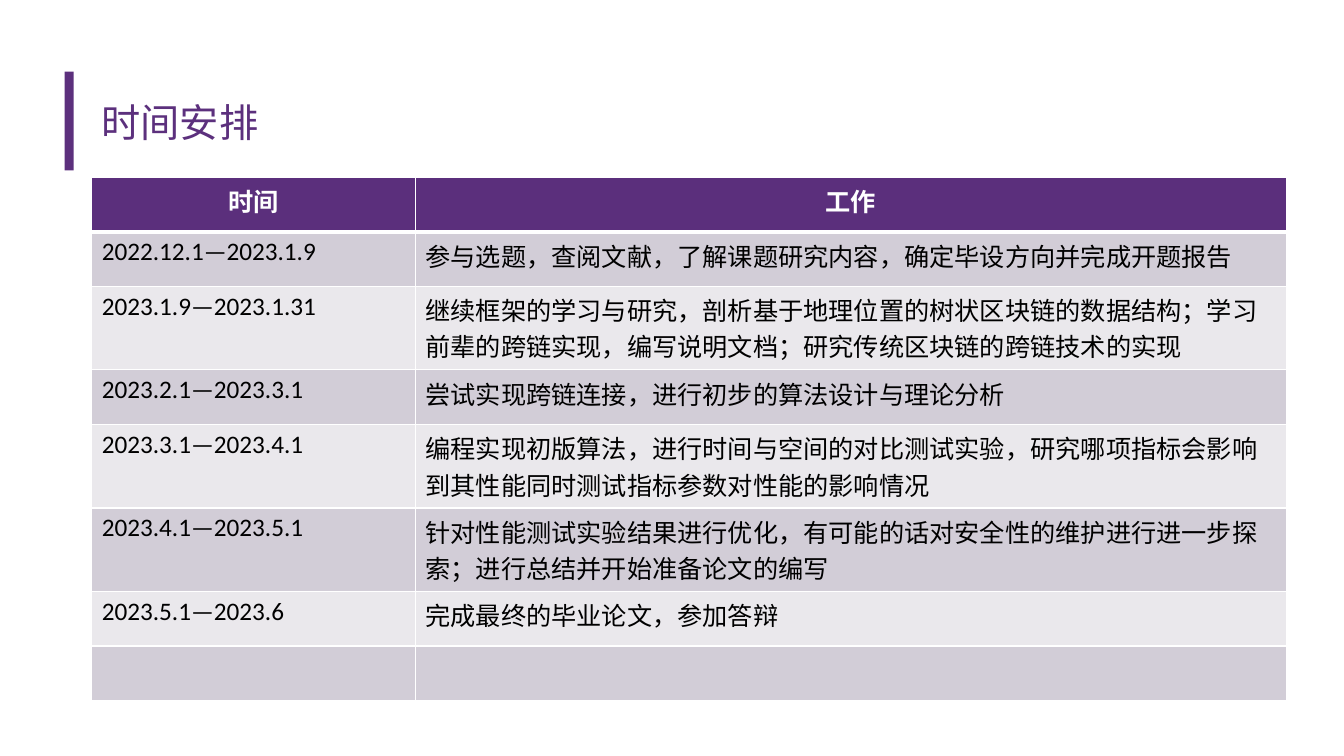
from dataclasses import dataclass

from lxml.etree import SubElement
from pptx import Presentation
from pptx.dml.color import RGBColor
from pptx.enum.shapes import MSO_SHAPE
from pptx.enum.text import MSO_ANCHOR, PP_ALIGN
from pptx.oxml.ns import qn
from pptx.slide import Slide
from pptx.table import _Cell
from pptx.text.text import _Paragraph
from pptx.util import Inches, Pt

PURPLE = RGBColor(0x5C, 0x30, 0x7D)
HEADER = RGBColor(0x5B, 0x2F, 0x7C)
BAND_DARK = RGBColor(0xD2, 0xCD, 0xD7)
BAND_LIGHT = RGBColor(0xEA, 0xE8, 0xEC)
WHITE = RGBColor(0xFF, 0xFF, 0xFF)
BLACK = RGBColor(0, 0, 0)
FONT = "Calibri"
COL_WIDTHS = (3.21, 8.64)
ONE_LINE = 0.54
TWO_LINES = 0.83


@dataclass
class Stage:
    """One row of the schedule, with its height in inches."""
    time: str = ""
    work: str = ""
    height: float = ONE_LINE


STAGES = [
    Stage("时间", "工作"),
    Stage("2022.12.1—2023.1.9", "参与选题，查阅文献，了解课题研究内容，确定毕设方向并完成开题报告"),
    Stage("2023.1.9—2023.1.31", "继续框架的学习与研究，剖析基于地理位置的树状区块链的数据结构；"
          "学习前辈的跨链实现，编写说明文档；研究传统区块链的跨链技术的实现", TWO_LINES),
    Stage("2023.2.1—2023.3.1", "尝试实现跨链连接，进行初步的算法设计与理论分析"),
    Stage("2023.3.1—2023.4.1", "编程实现初版算法，进行时间与空间的对比测试实验，"
          "研究哪项指标会影响到其性能同时测试指标参数对性能的影响情况", TWO_LINES),
    Stage("2023.4.1—2023.5.1", "针对性能测试实验结果进行优化，有可能的话对安全性的维护进行进一步探索；"
          "进行总结并开始准备论文的编写", TWO_LINES),
    Stage("2023.5.1—2023.6", "完成最终的毕业论文，参加答辩"),
    Stage(),
]


def add_run(p: _Paragraph, text: str, size: float, color: RGBColor, bold: bool = False) -> None:
    """Append a styled run to a paragraph."""
    r = p.add_run()
    r.text = text
    r.font.name = FONT
    r.font.size = Pt(size)
    r.font.bold = bold
    r.font.color.rgb = color


def set_borders(cell: _Cell, top: float, bottom: float) -> None:
    """Give a cell white borders, with widths in points."""
    tcPr = cell._tc.get_or_add_tcPr()
    for side, width in (("L", 1), ("R", 1), ("T", top), ("B", bottom)):
        ln = SubElement(tcPr, qn(f"a:ln{side}"), w=str(Pt(width)))
        fill = SubElement(ln, qn("a:solidFill"))
        SubElement(fill, qn("a:srgbClr"), val=str(WHITE))


def add_title(s: Slide, text: str) -> None:
    """Draw the accent bar and the slide title."""
    bar = s.shapes.add_shape(MSO_SHAPE.ROUNDED_RECTANGLE, Inches(0.64), Inches(0.71),
                             Inches(0.09), Inches(0.98))
    bar.adjustments[0] = 0
    bar.shadow.inherit = False
    bar.fill.solid()
    bar.fill.fore_color.rgb = PURPLE
    bar.line.fill.background()
    sp = s.shapes.add_textbox(Inches(0.91), Inches(0.65), Inches(11.51), Inches(1.11))
    tf = sp.text_frame
    tf.word_wrap = True
    tf.vertical_anchor = MSO_ANCHOR.MIDDLE
    add_run(tf.paragraphs[0], text, 28, PURPLE)


def add_schedule(s: Slide, stages: list[Stage]) -> None:
    """Draw the schedule as a table with a header and banded rows."""
    sp = s.shapes.add_table(len(stages), len(COL_WIDTHS), Inches(0.91), Inches(1.76),
                            Inches(sum(COL_WIDTHS)), Inches(sum(st.height for st in stages)))
    table = sp.table
    for col, width in zip(table.columns, COL_WIDTHS):
        col.width = Inches(width)
    for i, stage in enumerate(stages):
        table.rows[i].height = Inches(stage.height)
        is_header = i == 0
        band = HEADER if is_header else BAND_DARK if i % 2 else BAND_LIGHT
        for j, text in enumerate((stage.time, stage.work)):
            cell = table.cell(i, j)
            set_borders(cell, top=3 if i == 1 else 1, bottom=3 if is_header else 1)
            cell.fill.solid()
            cell.fill.fore_color.rgb = band
            p = cell.text_frame.paragraphs[0]
            p.alignment = PP_ALIGN.CENTER if is_header else PP_ALIGN.LEFT
            if text:
                add_run(p, text, 18, WHITE if is_header else BLACK, is_header)


def main() -> None:
    """Build the schedule slide and save it."""
    prs = Presentation()
    prs.slide_width = Inches(13.33)
    prs.slide_height = Inches(7.5)
    s = prs.slides.add_slide(prs.slide_layouts[6])
    add_title(s, "时间安排")
    add_schedule(s, STAGES)
    prs.save("out.pptx")


if __name__ == "__main__":
    main()
